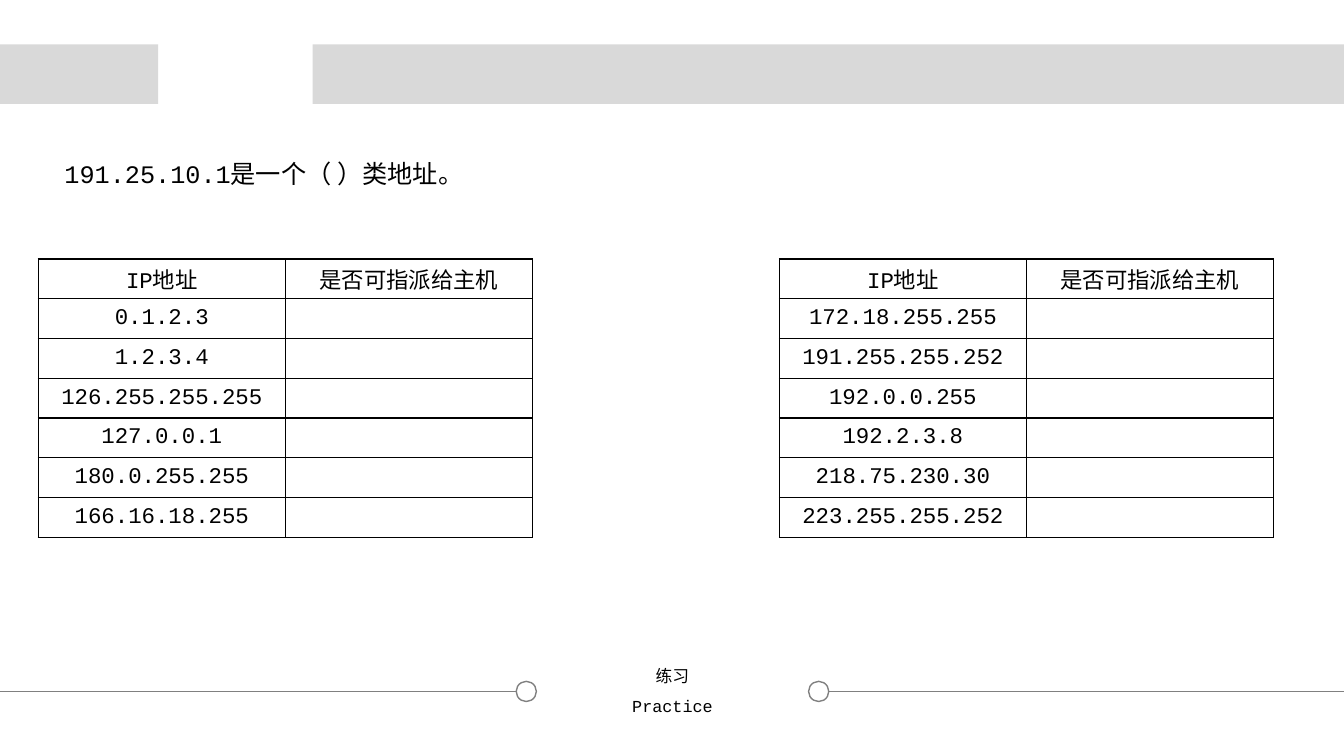
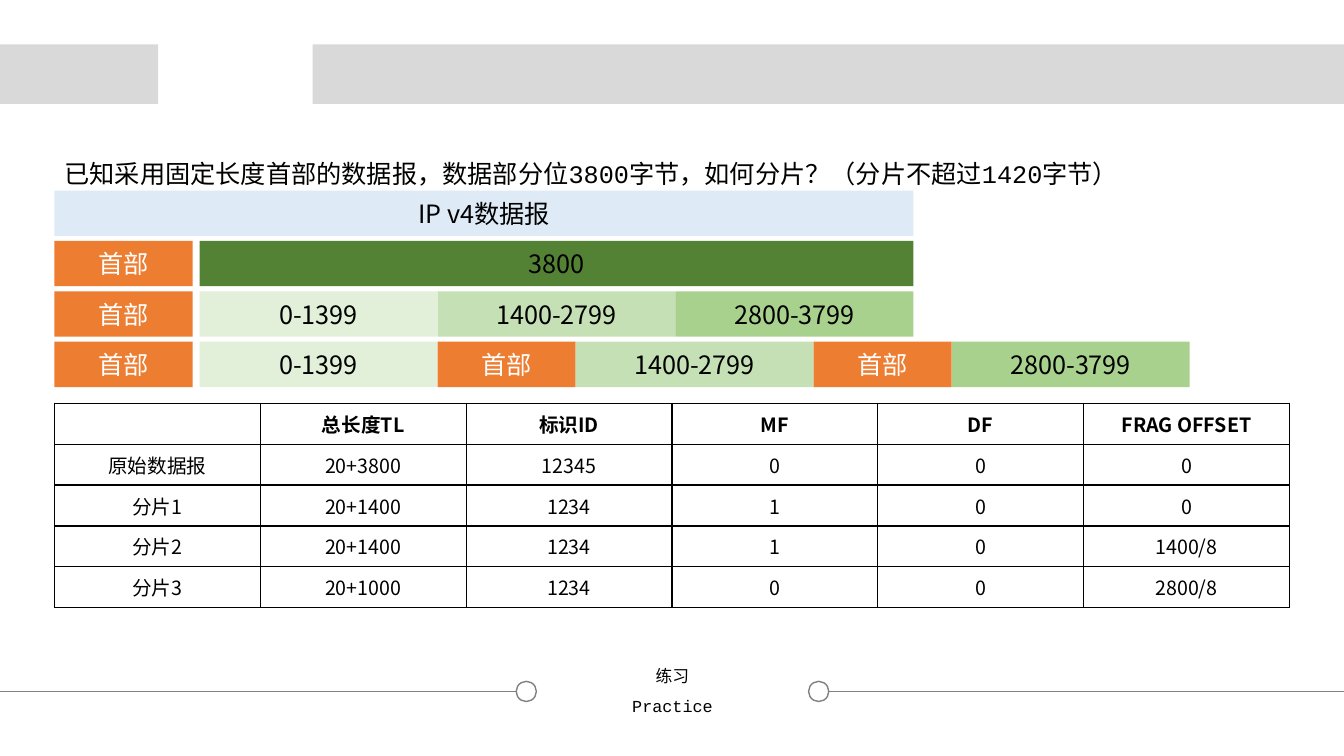
from dataclasses import dataclass

from lxml import etree
from pptx import Presentation
from pptx import util as u
from pptx.dml.color import RGBColor
from pptx.enum import shapes, text
from pptx.oxml.ns import qn

PX = 9144  # EMU per px, 100 px to the inch
WIDTH, HEIGHT = 1333, 750
MONO, SANS = "Courier New", "Noto Sans CJK SC"
COLORS = {
    "ink": "000000",
    "white": "FFFFFF",
    "band": "D9D9D9",
    "rule": "808080",
    "datagram": "DEEBF7",
    "header": "ED7D31",
    "data": "548235",
    "part1": "E2F0D9",
    "part2": "C5E0B4",
    "part3": "A9D18E",
}


@dataclass(frozen=True)
class Box:
    x: int
    y: int
    w: int
    h: int

    def emu(self) -> list[int]:
        return [v * PX for v in (self.x, self.y, self.w, self.h)]


@dataclass(frozen=True)
class Style:
    size: int
    font: str = SANS
    color: str = "ink"
    bold: bool = False
    align: text.PP_ALIGN = text.PP_ALIGN.CENTER


@dataclass(frozen=True)
class Segment:
    label: str
    width: int
    fill: str
    color: str = "ink"
    gap: int = 0  # space after the segment


def rgb(name: str) -> RGBColor:
    return RGBColor.from_string(COLORS[name])


def write(tf, words: str, style: Style) -> None:
    tf.text = words
    p = tf.paragraphs[0]
    p.alignment = style.align
    for r in p.runs:
        r.font.size = u.Pt(style.size)
        r.font.bold = style.bold
        r.font.name = style.font
        r.font.color.rgb = rgb(style.color)
        etree.SubElement(r.font._element, qn("a:ea"), typeface=SANS)


def add_text(s, box: Box, words: str, style: Style, wrap: bool = True) -> None:
    tf = s.shapes.add_textbox(*box.emu()).text_frame
    tf.word_wrap = wrap
    write(tf, words, style)


def add_rect(s, box: Box, fill: str):
    sp = s.shapes.add_shape(shapes.MSO_SHAPE.RECTANGLE, *box.emu())
    sp.shadow.inherit = False
    sp.fill.solid()
    sp.fill.fore_color.rgb = rgb(fill)
    sp.line.fill.background()
    return sp


def add_ring(s, box: Box) -> None:
    sp = s.shapes.add_shape(shapes.MSO_SHAPE.OVAL, *box.emu())
    sp.shadow.inherit = False
    sp.fill.background()
    sp.line.color.rgb = rgb("rule")
    sp.line.width = u.Pt(1)


def add_rule(s, x1: int, x2: int, y: int) -> None:
    line = s.shapes.add_connector(
        shapes.MSO_CONNECTOR.STRAIGHT, x1 * PX, y * PX, x2 * PX, y * PX)
    line.line.color.rgb = rgb("rule")
    line.line.width = u.Pt(0.5)
    etree.SubElement(line._element.spPr, qn("a:effectLst"))


def set_borders(cell, sides: str) -> None:
    tcPr = cell._tc.get_or_add_tcPr()
    for side in "LRTB":
        ln = etree.SubElement(tcPr, qn(f"a:ln{side}"), w=str(u.Pt(1)))
        if side in sides:
            fill = etree.SubElement(ln, qn("a:solidFill"))
            etree.SubElement(fill, qn("a:srgbClr"), val=COLORS["ink"])
        else:
            etree.SubElement(ln, qn("a:noFill"))


def add_grid(s, box: Box, rows: list[list[str]], head: Style, body: Style,
             gap_col: int | None = None) -> None:
    """Draw an even table; gap_col is an open column between two blocks."""
    table = s.shapes.add_table(len(rows), len(rows[0]), *box.emu()).table
    table.first_row = table.horz_banding = False
    for i, row in enumerate(rows):
        for j, words in enumerate(row):
            cell = table.cell(i, j)
            set_borders(cell, "LR" if j == gap_col else "LRTB")
            cell.fill.background()
            cell.margin_top = cell.margin_bottom = 3 * PX
            cell.vertical_anchor = text.MSO_ANCHOR.MIDDLE
            if words:
                write(cell.text_frame, words, body if i else head)


def add_practice_slide(prs, question: str):
    """Blank slide with the bands, footer and question all slides share."""
    s = prs.slides.add_slide(prs.slide_layouts[6])
    # Footer
    for ring_x, x1, x2 in ((802, 822, WIDTH), (512, 0, 512)):
        add_ring(s, Box(ring_x, 676, 20, 20))
        add_rule(s, x1, x2, 686)
    add_text(s, Box(640, 656, 54, 30), "练习", Style(12), wrap=False)
    add_text(s, Box(616, 685, 102, 30), "Practice", Style(12, MONO), wrap=False)
    # Top bands
    for x, w in ((310, WIDTH - 310), (0, 157)):
        add_rect(s, Box(x, 44, w, 59), "band")
    # Question
    add_text(s, Box(54, 152, 1225, 40), question,
             Style(18, MONO, align=text.PP_ALIGN.LEFT))
    return s


def build_address_slide(prs) -> None:
    s = add_practice_slide(prs, "191.25.10.1是一个（ ）类地址。")
    left = ["0.1.2.3", "1.2.3.4", "126.255.255.255", "127.0.0.1",
            "180.0.255.255", "166.16.18.255"]
    right = ["172.18.255.255", "191.255.255.252", "192.0.0.255", "192.2.3.8",
             "218.75.230.30", "223.255.255.252"]
    heads = ["IP地址", "是否可指派给主机"]
    rows = [[*heads, "", *heads]]
    rows += [[a, "", "", b, ""] for a, b in zip(left, right)]
    style = Style(16, MONO)
    add_grid(s, Box(38, 257, 1225, 276), rows, style, style, gap_col=2)


def build_fragment_slide(prs) -> None:
    s = add_practice_slide(
        prs, "已知采用固定长度首部的数据报，数据部分位3800字节，如何分片？"
             "（分片不超过1420字节）")
    # Fragment fields
    rows = [
        ["", "总长度TL", "标识ID", "MF", "DF", "FRAG OFFSET"],
        ["原始数据报", "20+3800", "12345", "0", "0", "0"],
        ["分片1", "20+1400", "1234", "1", "0", "0"],
        ["分片2", "20+1400", "1234", "1", "0", "1400/8"],
        ["分片3", "20+1000", "1234", "0", "0", "2800/8"],
    ]
    add_grid(s, Box(54, 400, 1225, 203), rows, Style(14, bold=True), Style(14))
    # Datagram split into fragments
    part_w = 236
    first = Segment("首部", 137, "header", "white", gap=7)
    header = Segment("首部", 137, "header", "white")
    parts = [Segment(label, part_w, f"part{n}") for n, label in
             enumerate(("0-1399", "1400-2799", "2800-3799"), 1)]
    bars = [
        [Segment("IP v4数据报", 852, "datagram")],
        [first, Segment("3800", 3 * part_w, "data")],
        [first, *parts],
        [first, parts[0], header, parts[1], header, parts[2]],
    ]
    for i, bar in enumerate(bars):
        x = 54
        for seg in bar:
            sp = add_rect(s, Box(x, 189 + 50 * i, seg.width, 45), seg.fill)
            sp.text_frame.vertical_anchor = text.MSO_ANCHOR.MIDDLE
            write(sp.text_frame, seg.label, Style(18, color=seg.color))
            x += seg.width + seg.gap


def main() -> None:
    prs = Presentation()
    prs.slide_width, prs.slide_height = WIDTH * PX, HEIGHT * PX
    build_address_slide(prs)
    build_fragment_slide(prs)
    prs.save("out.pptx")


if __name__ == "__main__":
    main()
